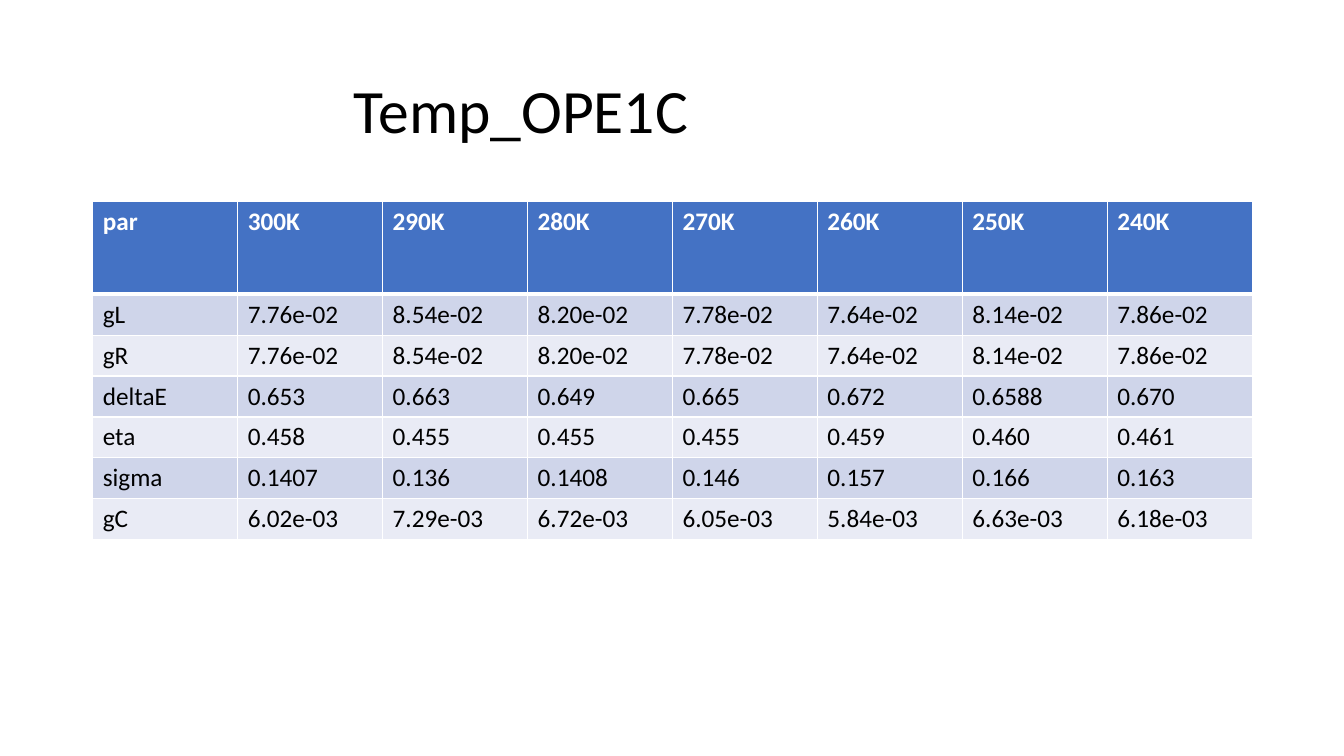
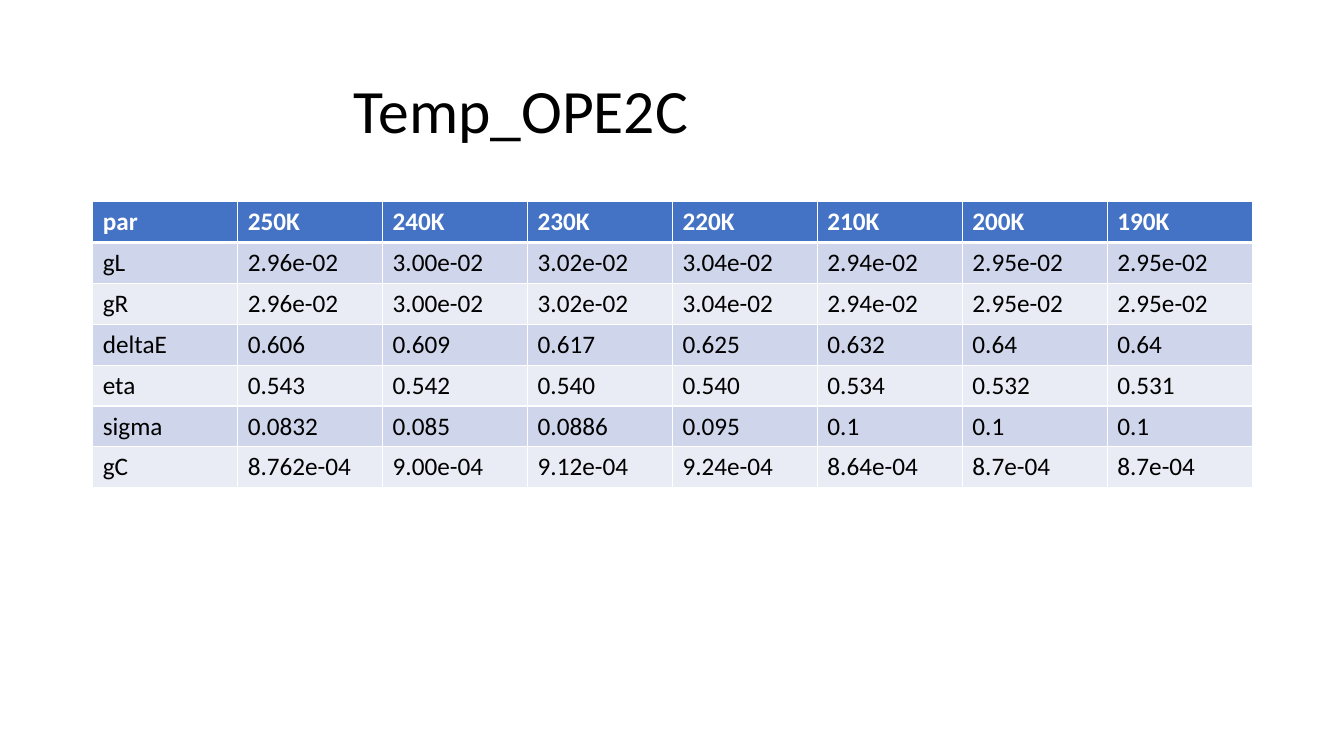
from lxml.etree import SubElement
from pptx import Presentation
from pptx.dml.color import RGBColor
from pptx.enum.text import MSO_ANCHOR, PP_ALIGN
from pptx.oxml.ns import qn
from pptx.util import Inches, Pt

WHITE = RGBColor(0xFF, 0xFF, 0xFF)
BLACK = RGBColor(0x00, 0x00, 0x00)
HEADER_BLUE = RGBColor(0x44, 0x72, 0xC4)
BANDS = (RGBColor(0xCF, 0xD5, 0xEA), RGBColor(0xE9, 0xEB, 0xF5))
FONT = "Calibri"

LEFT, CONTENT_WIDTH = Inches(0.92), Inches(11.5)
TITLE_TOP, TITLE_HEIGHT, TITLE_INDENT = Inches(0.4), Inches(1.45), Inches(2.59)
TABLE_TOP = Inches(2)
ROW_HEIGHT = Inches(2.84) // 7
TALL_HEADER = Inches(0.92)

# Title, header row height, table rows
SLIDES = [
    ("Temp_OPE1C", TALL_HEADER, [
        ("par", "300K", "290K", "280K", "270K", "260K", "250K", "240K"),
        ("gL", "7.76e-02", "8.54e-02", "8.20e-02", "7.78e-02", "7.64e-02", "8.14e-02", "7.86e-02"),
        ("gR", "7.76e-02", "8.54e-02", "8.20e-02", "7.78e-02", "7.64e-02", "8.14e-02", "7.86e-02"),
        ("deltaE", "0.653", "0.663", "0.649", "0.665", "0.672", "0.6588", "0.670"),
        ("eta", "0.458", "0.455", "0.455", "0.455", "0.459", "0.460", "0.461"),
        ("sigma", "0.1407", "0.136", "0.1408", "0.146", "0.157", "0.166", "0.163"),
        ("gC", "6.02e-03", "7.29e-03", "6.72e-03", "6.05e-03", "5.84e-03", "6.63e-03", "6.18e-03"),
    ]),
    ("Temp_OPE2C", ROW_HEIGHT, [
        ("par", "250K", "240K", "230K", "220K", "210K", "200K", "190K"),
        ("gL", "2.96e-02", "3.00e-02", "3.02e-02", "3.04e-02", "2.94e-02", "2.95e-02", "2.95e-02"),
        ("gR", "2.96e-02", "3.00e-02", "3.02e-02", "3.04e-02", "2.94e-02", "2.95e-02", "2.95e-02"),
        ("deltaE", "0.606", "0.609", "0.617", "0.625", "0.632", "0.64", "0.64"),
        ("eta", "0.543", "0.542", "0.540", "0.540", "0.534", "0.532", "0.531"),
        ("sigma", "0.0832", "0.085", "0.0886", "0.095", "0.1", "0.1", "0.1"),
        ("gC", "8.762e-04", "9.00e-04", "9.12e-04", "9.24e-04", "8.64e-04", "8.7e-04", "8.7e-04"),
    ]),
]


def write_text(text_frame, text, size=18, color=BLACK, bold=False, line_spacing=None):
    paragraph = text_frame.paragraphs[0]
    paragraph.alignment = PP_ALIGN.LEFT
    paragraph.line_spacing = line_spacing
    run = paragraph.add_run()
    run.text = text
    run.font.name = FONT
    run.font.size = Pt(size)
    run.font.bold = bold
    run.font.color.rgb = color


def set_borders(cell, top=1, bottom=1):
    """Draw white cell borders; widths are in points."""
    properties = cell._tc.get_or_add_tcPr()
    for side, width in (("L", 1), ("R", 1), ("T", top), ("B", bottom)):
        line = SubElement(properties, qn(f"a:ln{side}"), w=str(Pt(width)))
        fill = SubElement(line, qn("a:solidFill"))
        SubElement(fill, qn("a:srgbClr"), val=str(WHITE))


def add_title(slide, text):
    title = slide.shapes.title
    title.left, title.top = LEFT, TITLE_TOP
    title.width, title.height = CONTENT_WIDTH, TITLE_HEIGHT
    title.text_frame.margin_left = TITLE_INDENT
    title.text_frame.vertical_anchor = MSO_ANCHOR.MIDDLE
    write_text(title.text_frame, text, size=44, line_spacing=0.9)


def add_parameter_table(slide, rows, header_height):
    height = header_height + ROW_HEIGHT * (len(rows) - 1)
    table = slide.shapes.add_table(
        len(rows), len(rows[0]), LEFT, TABLE_TOP, CONTENT_WIDTH, height).table
    for row_index, values in enumerate(rows):
        is_header = row_index == 0
        table.rows[row_index].height = header_height if is_header else ROW_HEIGHT
        for column_index, value in enumerate(values):
            cell = table.cell(row_index, column_index)
            set_borders(cell, top=3 if row_index == 1 else 1, bottom=3 if is_header else 1)
            cell.fill.solid()
            cell.fill.fore_color.rgb = HEADER_BLUE if is_header else BANDS[(row_index - 1) % 2]
            write_text(cell.text_frame, value, color=WHITE if is_header else BLACK, bold=is_header)


def main():
    presentation = Presentation()
    presentation.slide_width, presentation.slide_height = Inches(13.33), Inches(7.5)
    title_only = presentation.slide_layouts.get_by_name("Title Only")
    for title, header_height, rows in SLIDES:
        slide = presentation.slides.add_slide(title_only)
        add_title(slide, title)
        add_parameter_table(slide, rows, header_height)
    presentation.save("out.pptx")


if __name__ == "__main__":
    main()
